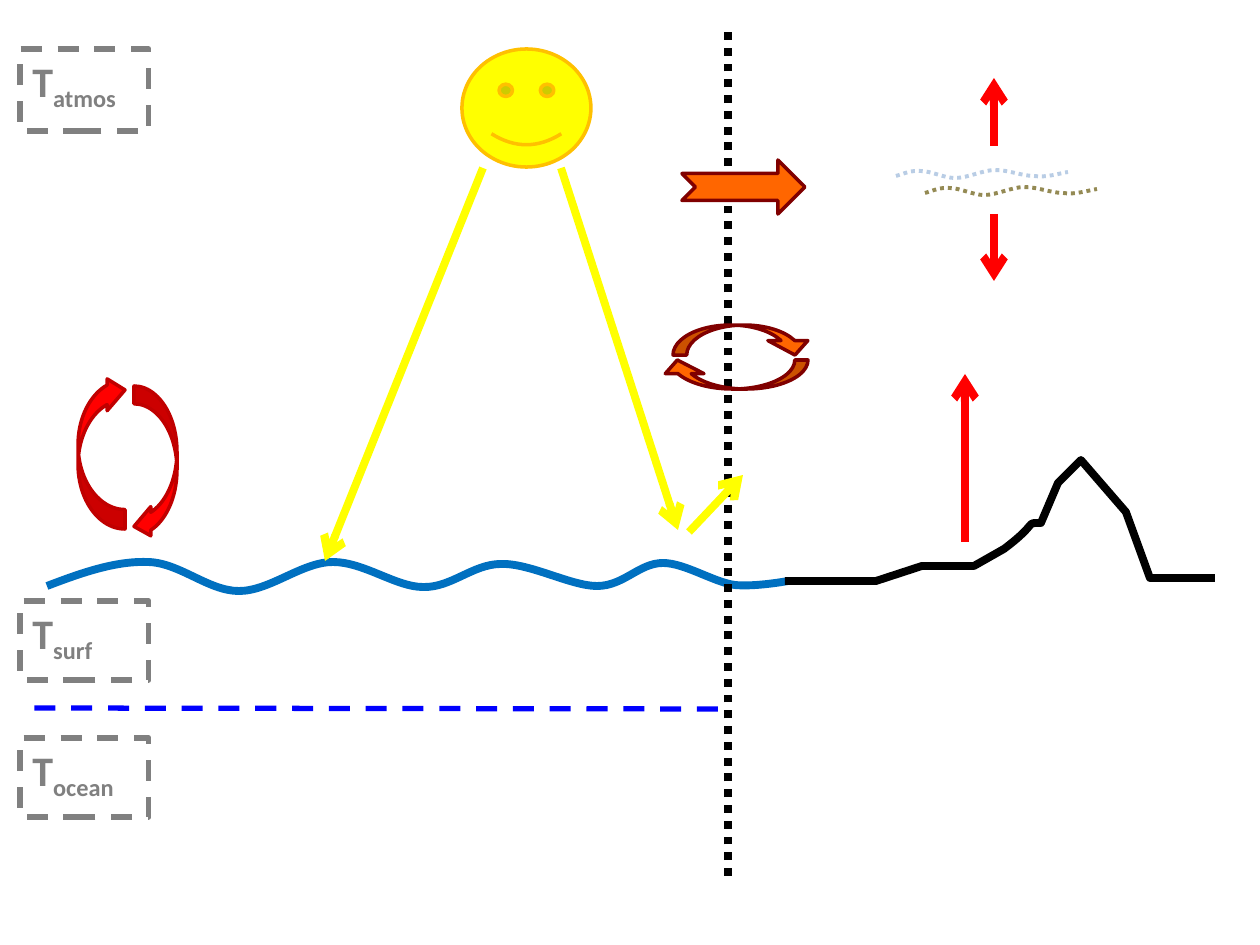
from dataclasses import dataclass

from lxml.etree import SubElement
from pptx import Presentation
from pptx.dml.color import RGBColor
from pptx.enum.dml import MSO_LINE as Dash
from pptx.enum.shapes import MSO_CONNECTOR as Link, MSO_SHAPE as Preset
from pptx.enum.text import MSO_AUTO_SIZE as AutoSize
from pptx.oxml.ns import qn
from pptx.util import Pt

PX = 914400 / 126


@dataclass(frozen=True)
class Theme:
    """Colours, line widths and type of the slide."""
    sea: str = "0070C0"
    land: str = "000000"
    layer: str = "0000FF"
    sun: str = "FFFF00"
    sun_edge: str = "FFC000"
    label: str = "808080"
    heat: str = "FF0000"
    heat_edge: str = "C00000"
    transport: str = "FF6600"
    transport_edge: str = "800000"
    cloud: str = "B9CDE5"
    aerosol: str = "948A54"
    heavy: float = 4.5
    medium: float = 3
    fine: float = 2.25
    edge: float = 2
    font: str = "Calibri"
    size: int = 24


THEME = Theme()


def px(*lengths):
    """Turn px lengths into EMU."""
    return [round(length * PX) for length in lengths]


def stroke(line, colour, width, dash=None):
    """Format a line or outline."""
    line.color.rgb = RGBColor.from_string(colour)
    line.width = Pt(width)
    if dash:
        line.dash_style = dash


def draw_line(slide, start, end, colour, width=THEME.heavy, dash=None, arrow=False):
    """Draw a straight line, with an open arrowhead at its end if asked."""
    connector = slide.shapes.add_connector(Link.STRAIGHT, *px(*start, *end))
    stroke(connector.line, colour, width, dash)
    if arrow:
        SubElement(connector.line._get_or_add_ln(), qn("a:tailEnd"), type="arrow")
    SubElement(connector._element.spPr, qn("a:effectLst"))


def draw_preset(slide, preset, box, fill, edge, width=THEME.edge, dash=None,
                adjust=(), rotation=0):
    """Draw a preset shape; a fill of None leaves it hollow."""
    shape = slide.shapes.add_shape(preset, *px(*box))
    shape.shadow.inherit = False
    shape.rotation = rotation
    if fill:
        shape.fill.solid()
        shape.fill.fore_color.rgb = RGBColor.from_string(fill)
    else:
        shape.fill.background()
    stroke(shape.line, edge, width, dash)
    for index, value in enumerate(adjust):
        shape.adjustments[index] = value


def draw_outline(slide, left, top, points, bends, colour, width=THEME.heavy, dash=None):
    """Draw an open outline whose three segments from each bend form one Bezier curve."""
    first, *others = [(left + x, top + y) for x, y in points]
    builder = slide.shapes.build_freeform(*first, scale=PX)
    builder.add_line_segments(others, close=False)
    outline = builder.convert_to_shape()
    outline.shadow.inherit = False
    outline.fill.background()
    stroke(outline.line, colour, width, dash)
    segments = list(outline._element.iter(qn("a:lnTo")))
    for bend in bends:
        curve, *controls = segments[bend:bend + 3]
        curve.tag = qn("a:cubicBezTo")
        for control in controls:
            curve.append(control[0])
            control.getparent().remove(control)


def draw_sea(slide, left, top):
    """Draw the wavy sea surface."""
    points = [(0, 25), (34, 12), (68, 0), (100, 1), (132, 1), (161, 30), (192, 30),
              (223, 30), (255, 1), (286, 1), (317, 1), (349, 26), (376, 26),
              (404, 27), (426, 3), (454, 3), (483, 2), (524, 25), (550, 25),
              (577, 25), (592, 2), (616, 2), (638, 2), (666, 21), (688, 24),
              (709, 26), (741, 20), (741, 20)]
    draw_outline(slide, left, top, points, range(0, len(points) - 1, 3), THEME.sea)


def draw_land(slide, left, top):
    """Draw the land profile with its mountain and the heat rising from it."""
    points = [(0, 121), (91, 121), (137, 106), (189, 106), (219, 89), (255, 62),
              (239, 63), (256, 63), (273, 23), (296, 0), (341, 52), (365, 118),
              (430, 118)]
    draw_outline(slide, left, top, points, [4], THEME.land)
    draw_line(slide, (left + 180, top + 82), (left + 180, top - 86), THEME.heat, arrow=True)


def draw_sun(slide, left, top):
    """Draw the sun, its two rays and the reflected ray."""
    rays = [((21, 119), (-137, 512)), ((99, 119), (216, 481)), ((227, 483), (281, 426))]
    for (x1, y1), (x2, y2) in rays:
        draw_line(slide, (left + x1, top + y1), (left + x2, top + y2), THEME.sun, arrow=True)
    draw_preset(slide, Preset.SMILEY_FACE, (left, top, 129, 118), THEME.sun, THEME.sun_edge)


def draw_temperature(slide, left, top, height, subscript):
    """Draw a dashed temperature label with its subscript."""
    label = slide.shapes.add_textbox(*px(left, top, 147, 63))
    frame = label.text_frame
    frame.word_wrap = True
    frame.auto_size = AutoSize.SHAPE_TO_FIT_TEXT
    frame.text = "T"
    suffix = frame.paragraphs[0].add_run()
    suffix.text = subscript
    for run in frame.paragraphs[0].runs:
        run.font.name = THEME.font
        run.font.size = Pt(THEME.size)
        run.font.bold = True
        run.font.color.rgb = RGBColor.from_string(THEME.label)
    suffix.font._element.set("baseline", "-25000")
    draw_preset(slide, Preset.RECTANGLE, (left, top, 129, height), None, THEME.label,
                THEME.medium, Dash.DASH)


def draw_vertical_mixing(slide, left, top):
    """Draw the pair of red arrows circling between air and sea."""
    for x, y, width, head, rotation in [(0, 0, 47, 0.381, 180), (56, 12, 43, 0.391, 0)]:
        draw_preset(slide, Preset.CURVED_LEFT_ARROW, (left + x, top + y, width, 155),
                    THEME.heat, THEME.heat_edge, adjust=(0.415, 0.677, head),
                    rotation=rotation)


def draw_transport(slide, left, top):
    """Draw the flow across the divider and the exchange below it."""
    draw_preset(slide, Preset.NOTCHED_RIGHT_ARROW, (left + 24, top, 123, 54),
                THEME.transport, THEME.transport_edge)
    for x, y, width, height, head, rotation in [(15, 165, 142, 30, 0.482, 0),
                                                (0, 200, 150, 29, 0.47, 180)]:
        draw_preset(slide, Preset.CURVED_DOWN_ARROW, (left + x, top + y, width, height),
                    THEME.transport, THEME.transport_edge,
                    adjust=(0.457, 1.333, head), rotation=rotation)


def draw_cloud(slide, left, top):
    """Draw the two dotted wisps and the heat leaving them up and down."""
    points = [(0, 6), (7, 4), (15, 0), (25, 1), (35, 1), (48, 8), (59, 8), (72, 8),
              (87, 0), (99, 0), (113, 0), (126, 6), (138, 6), (150, 8), (165, 3), (172, 2)]
    for x, y, colour in [(0, 0, THEME.cloud), (29, 17, THEME.aerosol)]:
        draw_outline(slide, left + x, top + y, points, range(0, len(points) - 1, 3),
                     colour, THEME.fine, Dash.ROUND_DOT)
    for start, end in [(-24, -92), (44, 111)]:
        draw_line(slide, (left + 98, top + start), (left + 98, top + end),
                  THEME.heat, arrow=True)


def main():
    """Build and save the climate diagram."""
    deck = Presentation()
    deck.slide_width, deck.slide_height = px(1260, 945)
    slide = deck.slides.add_slide(deck.slide_layouts[6])
    draw_sea(slide, 47, 561)
    draw_line(slide, (728, 876), (728, 30), THEME.land, dash=Dash.ROUND_DOT)
    draw_land(slide, 785, 460)
    draw_line(slide, (718, 709), (20, 708), THEME.layer, THEME.medium, Dash.DASH)
    for top, height, subscript in [(49, 82, "atmos"), (601, 79, "surf"), (738, 79, "ocean")]:
        draw_temperature(slide, 20, top, height, subscript)
    draw_vertical_mixing(slide, 78, 374)
    draw_sun(slide, 462, 49)
    draw_transport(slide, 658, 160)
    draw_cloud(slide, 896, 170)
    deck.save("out.pptx")


if __name__ == "__main__":
    main()
